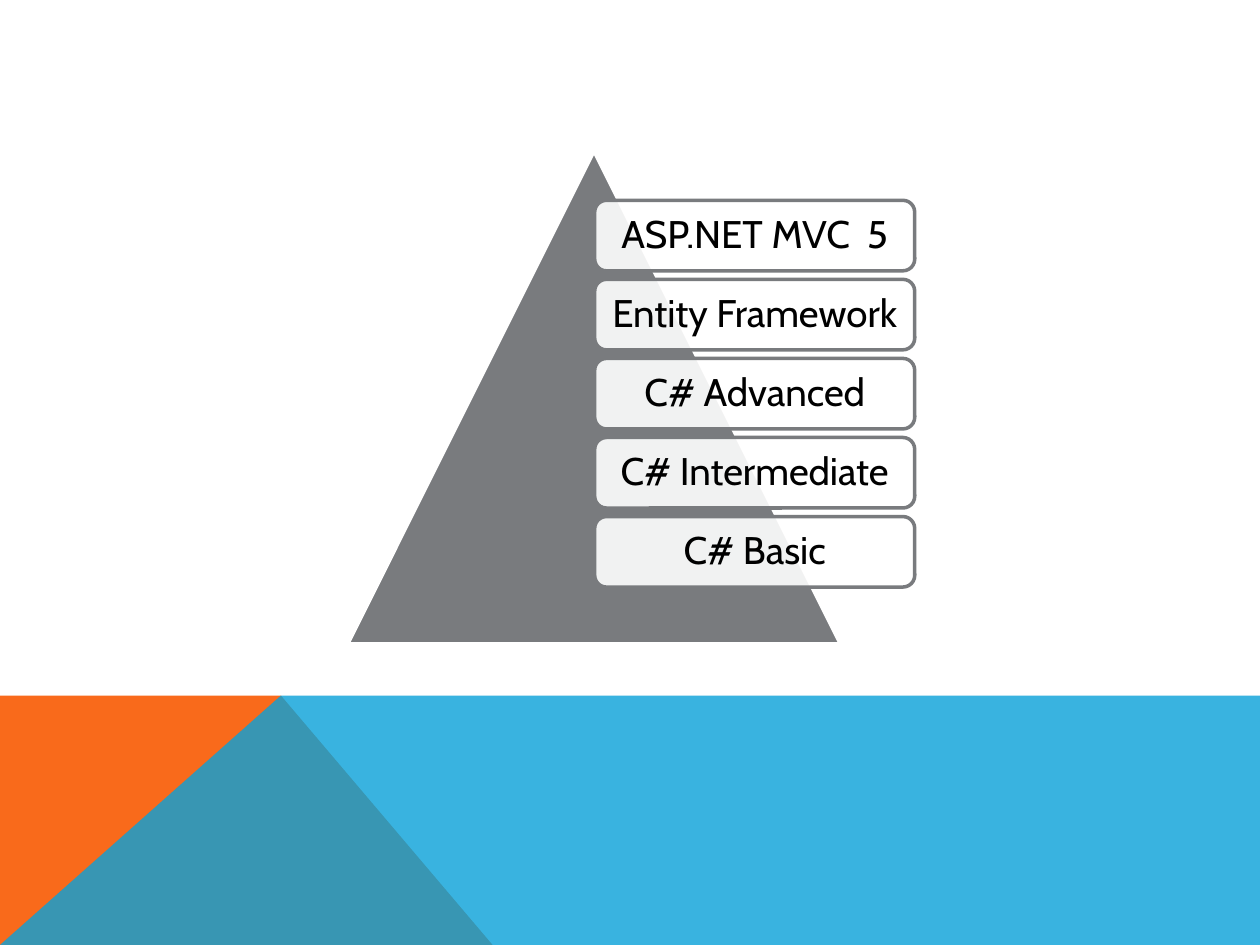
"""Build a slide with a pyramid of course levels above a coloured footer."""
from lxml.etree import SubElement
from pptx import Presentation
from pptx.dml.color import RGBColor
from pptx.enum.shapes import MSO_SHAPE
from pptx.enum.text import MSO_ANCHOR, PP_ALIGN
from pptx.oxml.ns import qn
from pptx.util import Inches, Pt

COLORS = {
    "orange": "F96A1B",
    "blue": "08A1D9",
    "gray": "797B7E",
    "white": "FFFFFF",
    "black": "000000",
}
FONT = "Cabin"
LEVELS = [
    "ASP.NET MVC  5",
    "Entity Framework",
    "C# Advanced",
    "C# Intermediate",
    "C# Basic",
]
FOOTER = [
    ("orange", 100, [(0, 7.5), (0, 5.52), (2.23, 5.52), (3.91, 7.5)]),
    ("blue", 80, [(0, 7.5), (2.23, 5.52), (10, 5.52), (10, 7.5)]),
]
PYRAMID = (2.76, 1.2, 3.91, 3.91)
LEVEL_LEFT, LEVEL_WIDTH, LEVEL_HEIGHT = 4.72, 2.54, 0.56
FIRST_TOP, LAST_TOP = 1.59, 4.1
INSET = 0.09


def color(name):
    return RGBColor.from_string(COLORS[name])


def paint(shape, fill, opacity=100, line=None):
    shape.shadow.inherit = False
    shape.fill.solid()
    shape.fill.fore_color.rgb = color(fill)
    if opacity < 100:
        fill_color = shape.fill._xPr.find(qn("a:solidFill"))[0]
        SubElement(fill_color, qn("a:alpha"), val=str(opacity * 1000))
    if line:
        shape.line.color.rgb = color(line)
        shape.line.width = Pt(2)
    else:
        shape.line.fill.background()


def add_footer(page):
    for fill, opacity, points in FOOTER:
        corners = [(Inches(x), Inches(y)) for x, y in points]
        builder = page.shapes.build_freeform(*corners[0])
        builder.add_line_segments(corners[1:], close=True)
        paint(builder.convert_to_shape(), fill, opacity)


def add_level(page, label, top):
    place = (LEVEL_LEFT, top, LEVEL_WIDTH, LEVEL_HEIGHT)
    box = page.shapes.add_shape(MSO_SHAPE.ROUNDED_RECTANGLE, *map(Inches, place))
    paint(box, "white", 90, "gray")
    frame = box.text_frame
    frame.text = label
    frame.word_wrap = True
    frame.vertical_anchor = MSO_ANCHOR.MIDDLE
    frame.margin_left = frame.margin_right = Inches(INSET)
    frame.margin_top = frame.margin_bottom = Inches(INSET)
    paragraph = frame.paragraphs[0]
    paragraph.alignment = PP_ALIGN.CENTER
    paragraph.line_spacing = 0.9
    font = paragraph.runs[0].font
    font.name = FONT
    font.size = Pt(22)
    font.color.rgb = color("black")


def main():
    deck = Presentation()
    deck.slide_width, deck.slide_height = Inches(10), Inches(7.5)
    page = deck.slides.add_slide(deck.slide_layouts[6])
    add_footer(page)
    pyramid = page.shapes.add_shape(MSO_SHAPE.ISOSCELES_TRIANGLE, *map(Inches, PYRAMID))
    paint(pyramid, "gray", line="white")
    step = (LAST_TOP - FIRST_TOP) / (len(LEVELS) - 1)
    for index, label in enumerate(LEVELS):
        add_level(page, label, FIRST_TOP + index * step)
    deck.save("out.pptx")


if __name__ == "__main__":
    main()
